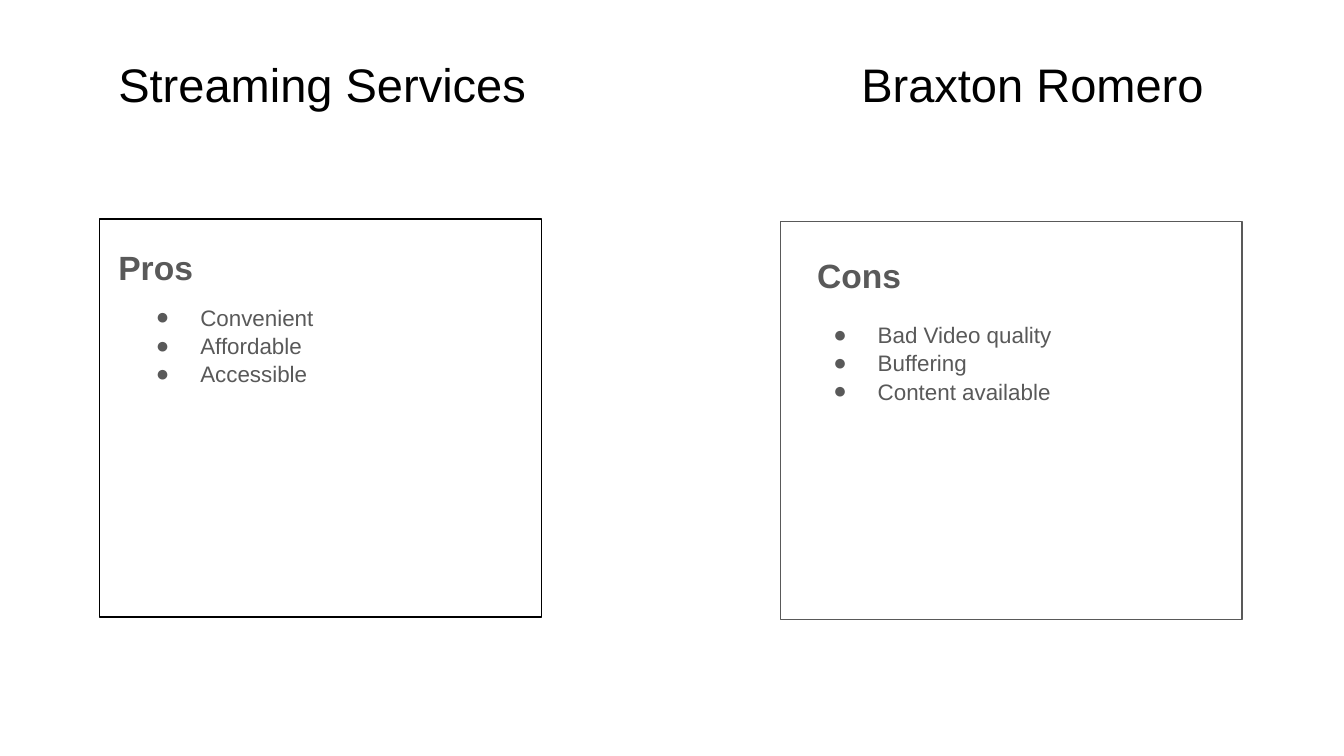
import pptx
import pptx.util
import pptx.dml.color
import pptx.enum.shapes
import pptx.enum.text
import pptx.oxml
import pptx.oxml.ns

Pt = pptx.util.Pt
BLACK = pptx.dml.color.RGBColor(0x00, 0x00, 0x00)
GREY = pptx.dml.color.RGBColor(0x59, 0x59, 0x59)
TOP = pptx.enum.text.MSO_ANCHOR.TOP
BASE = pptx.enum.text.MSO_ANCHOR.BOTTOM

TITLE = {"name": "Arial", "size": Pt(25.2), "bold": False}
HEAD = {"name": "Arial", "size": Pt(18), "bold": True}
ITEM = {"name": "Arial", "size": Pt(12), "bold": False}
PARA = {"alignment": pptx.enum.text.PP_ALIGN.LEFT, "space_before": Pt(0),
        "space_after": Pt(0)}
TAB = Pt(398)

# Each side: border box and colour, heading and its box, items and their box
SIDES = [
    ((53.3, 117.4, 236.9, 213.1), BLACK,
     "Pros", (56.2, 123.8, 374.4, 36),
     ["Convenient", "Affordable", "Accessible"], (64.1, 154.8, 214.6, 151.9)),
    ((418.3, 118.8, 247, 213.1), GREY,
     "Cons", (430.6, 128.2, 146.9, 36),
     ["Bad Video quality", "Buffering", "Content available"],
     (427, 164.2, 229.7, 58.3)),
]


def apply(item, values):
    for name, value in values.items():
        setattr(item, name, value)


def place(shape, box):
    apply(shape, dict(zip(("left", "top", "width", "height"), map(Pt, box))))


def add_xml(para, xml):
    props = para._p.get_or_add_pPr()
    space = pptx.oxml.ns.nsdecls("a")
    props.append(pptx.oxml.parse_xml(xml.replace("/>", f" {space}/>", 1)
                                     if xml.count("<") == 1
                                     else xml.replace(">", f" {space}>", 1)))
    return props


def fill_text(shape, box, lines, font, color, anchor=TOP, spacing=1.05):
    place(shape, box)
    frame = shape.text_frame
    margins = ("margin_left", "margin_top", "margin_right", "margin_bottom")
    apply(frame, dict.fromkeys(margins, Pt(7.2)))
    apply(frame, {"word_wrap": True, "vertical_anchor": anchor,
                  "auto_size": pptx.enum.text.MSO_AUTO_SIZE.NONE})
    frame.text = "\n".join(lines)
    for para in frame.paragraphs:
        apply(para, PARA)
        para.line_spacing = spacing
        for run in para.runs:
            apply(run.font, font)
            run.font.color.rgb = color
    return frame.paragraphs


def add_bullet(para):
    add_xml(para, f'<a:buClr><a:srgbClr val="{GREY}"/></a:buClr>')
    add_xml(para, '<a:buFont typeface="Arial"/>')
    props = add_xml(para, '<a:buChar char="●"/>')
    props.set("marL", str(Pt(36)))
    props.set("indent", str(-Pt(23.8)))


def add_border(slide, box, color):
    kind = pptx.enum.shapes.MSO_SHAPE.RECTANGLE
    shape = slide.shapes.add_shape(kind, *map(Pt, box))
    shape.shadow.inherit = False
    shape.fill.background()
    shape.line.color.rgb = color
    shape.line.width = Pt(0.75)


def main():
    deck = pptx.Presentation()
    apply(deck, {"slide_width": Pt(720), "slide_height": Pt(405)})
    slide = deck.slides.add_slide(
        deck.slide_layouts.get_by_name("Comparison"))
    title, *holders = slide.placeholders

    paras = fill_text(title, (56.2, 21.6, 671, 45.4),
                      ["Streaming Services\tBraxton Romero"],
                      TITLE, BLACK, BASE, 1.0)
    add_xml(paras[0],
            f'<a:tabLst><a:tab pos="{TAB}" algn="l"/></a:tabLst>')

    pairs = zip(holders[::2], holders[1::2])
    for (head, body), side in zip(pairs, SIDES):
        border, color, name, head_box, items, body_box = side
        add_border(slide, border, color)
        fill_text(head, head_box, [name], HEAD, GREY)
        for para in fill_text(body, body_box, items, ITEM, GREY):
            add_bullet(para)

    deck.save("out.pptx")


if __name__ == "__main__":
    main()
